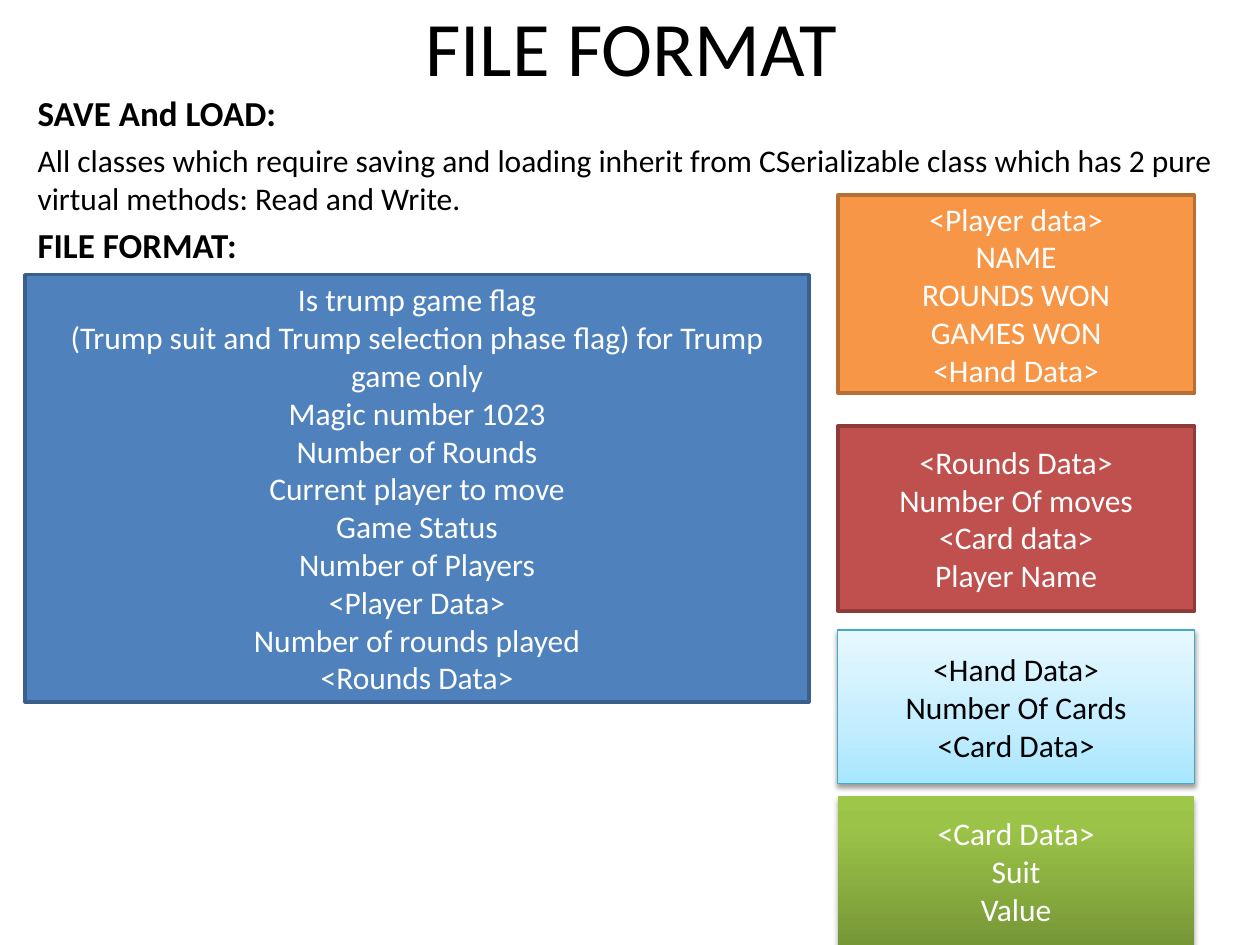
from dataclasses import dataclass

from lxml import etree
from pptx import Presentation
from pptx import util as u
from pptx.dml import color
from pptx.enum import shapes, text
from pptx.oxml import ns


@dataclass(frozen=True)
class Theme:
    """Colours, font and type sizes of the slide."""
    font: str = "Calibri"
    title: int = 44
    heading: int = 20
    body: int = 18
    dark: str = "000000"
    light: str = "FFFFFF"
    blue: tuple = ("4F81BD", "3A5F8C")
    orange: tuple = ("F79646", "B76F34")
    red: tuple = ("C0504D", "8E3B39")
    aqua: tuple = (((0, "A7E6FF"), (35, "C1EDFF"), (100, "E7F8FF")), "46AAC5")
    green: tuple = (((0, "779737"), (80, "9BC348"), (100, "9DC746")), None)


THEME = Theme()


def rgb(value):
    """Turn a hex string into a colour."""
    return color.RGBColor.from_string(value)


def write(frame, line, first=False, size=THEME.body, ink=THEME.dark, bold=False, centred=False, before=0):
    """Write one paragraph into a text frame."""
    para = frame.paragraphs[0] if first else frame.add_paragraph()
    para.alignment = text.PP_ALIGN.CENTER if centred else text.PP_ALIGN.LEFT
    para.space_before = u.Pt(before)
    span = para.add_run()
    span.text = line
    span.font.name = THEME.font
    span.font.size = u.Pt(size)
    span.font.bold = bold
    span.font.color.rgb = rgb(ink)


def text_frame(page, box, anchor):
    """Add a wrapping text box and return its frame."""
    frame = page.shapes.add_textbox(*map(u.Inches, box)).text_frame
    frame.word_wrap = True
    frame.vertical_anchor = anchor
    return frame


def add_title(page, box):
    """Place the slide title."""
    frame = text_frame(page, box, text.MSO_ANCHOR.MIDDLE)
    write(frame, "FILE FORMAT", first=True, size=THEME.title, centred=True)


def add_body(page, box):
    """Place the two headings and the explanation."""
    frame = text_frame(page, box, text.MSO_ANCHOR.TOP)
    write(frame, "SAVE And LOAD:", first=True, size=THEME.heading, bold=True)
    write(frame, "All classes which require saving and loading inherit from CSerializable class "
                 "which has 2 pure virtual methods: Read and Write.", before=4)
    write(frame, "FILE FORMAT: ", size=THEME.heading, bold=True, before=4)


def fill_gradient(shape, stops):
    """Fill a shape from bottom to top with the given stops."""
    shape.fill.gradient()
    shape.fill.gradient_angle = 90
    stop_list = shape.element.spPr.find(".//" + ns.qn("a:gsLst"))
    for stop in list(stop_list):
        stop_list.remove(stop)
    for position, value in stops:
        stop = etree.SubElement(stop_list, ns.qn("a:gs"), pos=str(position * 1000))
        etree.SubElement(stop, ns.qn("a:srgbClr"), val=value)


def add_shadow(shape, opacity, distance):
    """Give a shape a soft shadow below it."""
    effects = shape.element.spPr.find(ns.qn("a:effectLst"))
    shadow = etree.SubElement(effects, ns.qn("a:outerShdw"), blurRad=str(u.Pt(3.1)),
                              dist=str(u.Pt(distance)), dir="5400000", rotWithShape="0")
    ink = etree.SubElement(shadow, ns.qn("a:srgbClr"), val=THEME.dark)
    etree.SubElement(ink, ns.qn("a:alpha"), val=str(opacity * 1000))


def add_record(page, box, lines, colours, ink=THEME.light, border=2, shadow=None):
    """Place a coloured box that lists the fields of one record."""
    shape = page.shapes.add_shape(shapes.MSO_SHAPE.RECTANGLE, *map(u.Inches, box))
    shape.shadow.inherit = False
    fill, edge = colours
    if isinstance(fill, str):
        shape.fill.solid()
        shape.fill.fore_color.rgb = rgb(fill)
    else:
        fill_gradient(shape, fill)
    if edge:
        shape.line.color.rgb = rgb(edge)
        shape.line.width = u.Pt(border)
    else:
        shape.line.fill.background()
    if shadow:
        add_shadow(shape, *shadow)
    frame = shape.text_frame
    frame.word_wrap = True
    frame.vertical_anchor = text.MSO_ANCHOR.MIDDLE
    for index, line in enumerate(lines):
        write(frame, line, first=index == 0, ink=ink, centred=True)


def add_record_column(page, left, width):
    """Place the four nested records on the right."""
    records = (
        (1.55, 1.57, ("<Player data>", "NAME", "ROUNDS WON", "GAMES WON", "<Hand Data>"),
         THEME.orange, {}),
        (3.38, 1.47, ("<Rounds Data>", "Number Of moves", "<Card data>", "Player Name"),
         THEME.red, {}),
        (5, 1.22, ("<Hand Data>", "Number Of Cards", "<Card Data>"),
         THEME.aqua, {"ink": THEME.dark, "border": 0.75, "shadow": (38, 1.6)}),
        (6.32, 1.18, ("<Card Data>", "Suit", "Value"),
         THEME.green, {"shadow": (35, 1.8)}),
    )
    for top, height, lines, colours, style in records:
        add_record(page, (left, top, width, height), lines, colours, **style)


def main():
    """Build and save the deck."""
    deck = Presentation()
    deck.slide_width, deck.slide_height = u.Inches(10), u.Inches(7.5)
    page = deck.slides.add_slide(deck.slide_layouts[6])
    add_title(page, (0.51, -0.27, 9, 1.26))
    add_body(page, (0.2, 0.68, 9.61, 7.01))
    file_fields = (
        "Is trump game flag",
        "(Trump suit and Trump selection phase flag) for Trump game only",
        "Magic number 1023",
        "Number of Rounds",
        "Current player to move",
        "Game Status",
        "Number of Players",
        "<Player Data>",
        "Number of rounds played",
        "<Rounds Data>",
    )
    add_record(page, (0.2, 2.18, 6.22, 3.39), file_fields, THEME.blue)
    add_record_column(page, 6.65, 2.83)
    deck.save("out.pptx")


main()
